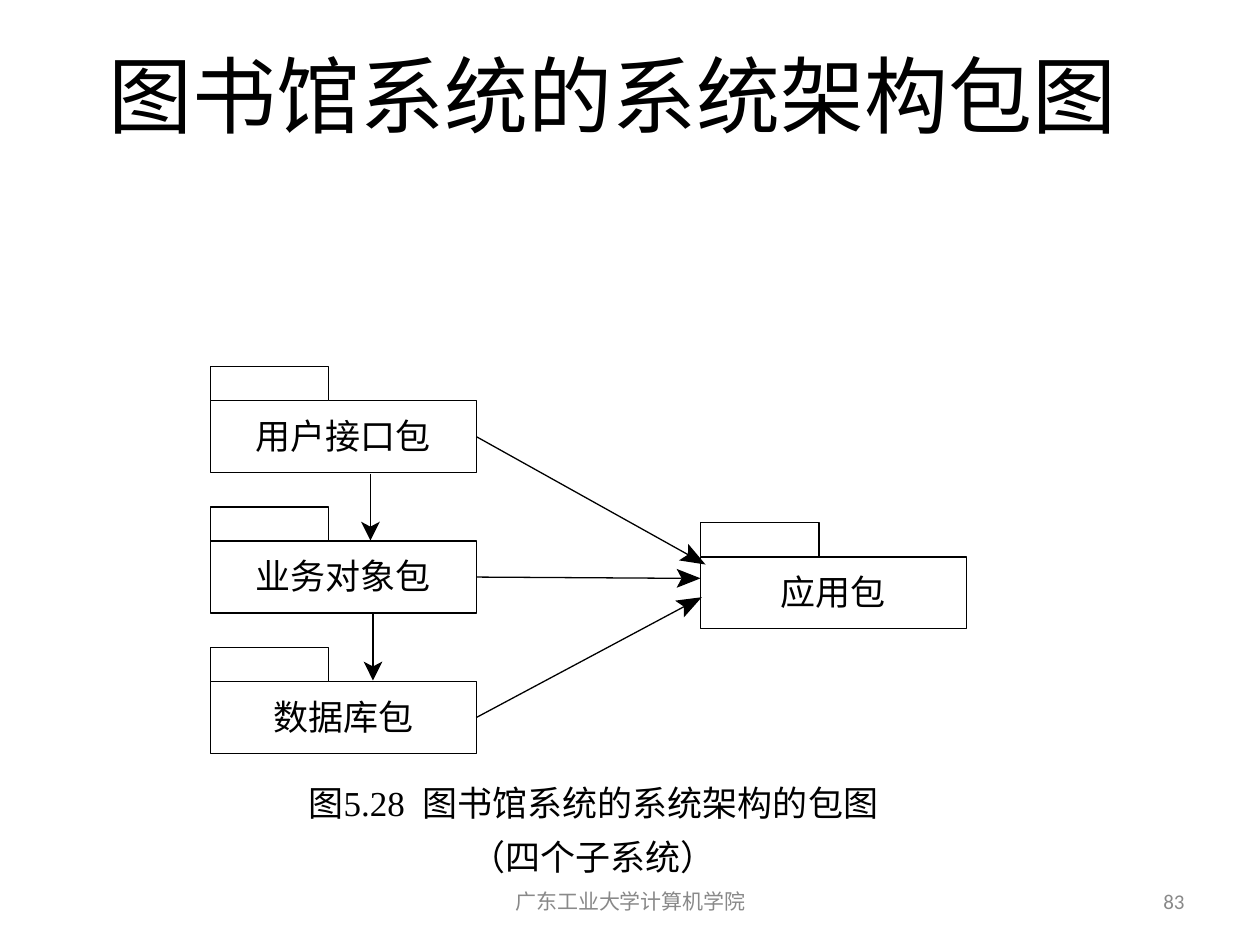
from dataclasses import dataclass
from math import hypot
from typing import Optional

from lxml.etree import SubElement
from pptx import Presentation
from pptx.dml.color import RGBColor
from pptx.enum.shapes import MSO_CONNECTOR as Conn, MSO_SHAPE as Shape
from pptx.enum.text import MSO_ANCHOR as Anchor, MSO_AUTO_SIZE as AutoSize, PP_ALIGN as Align
from pptx.oxml.ns import qn
from pptx.util import Inches, Pt

COLORS = {"ink": "000000", "paper": "FFFFFF", "footer": "898989"}
SERIF, SANS = "Times New Roman", "Calibri"
BODY_W, BODY_H = 2.11, 0.57
TAB_W, TAB_H = 0.94, 0.27
LEFT, TOP, STEP = 1.67, 3.18, 1.115
RIGHT_SIDE = 3


@dataclass
class Package:
    name: str
    x: float
    y: float


@dataclass
class Arrow:
    begin: tuple[float, float]
    tip: tuple[float, float]
    head: float
    source: Optional[str] = None


LAYERS = ["用户接口包", "业务对象包", "数据库包"]
PACKAGES = [Package(name, LEFT, TOP + i * STEP) for i, name in enumerate(LAYERS)]
PACKAGES.append(Package("应用包", 5.56, 4.42))

ARROWS = [
    Arrow((3.78, 3.46), (5.6, 4.48), 0.2, LAYERS[0]),
    Arrow((3.78, 4.59), (5.56, 4.59), 0.19, LAYERS[1]),
    Arrow((3.78, 5.69), (5.57, 4.74), 0.2, LAYERS[2]),
    Arrow((2.94, 3.76), (2.94, 4.29), 0.15),
    Arrow((2.96, 4.87), (2.96, 5.4), 0.15),
]


def rgb(name: str) -> RGBColor:
    return RGBColor.from_string(COLORS[name])


def write(sp, text: str, *, size: float = 20, font: str = SERIF, color: str = "ink",
          align=Align.CENTER, anchor=Anchor.TOP, spacing: float = 1.0,
          inset: float = 0.05) -> None:
    tf = sp.text_frame
    tf.word_wrap = True
    tf.auto_size = AutoSize.NONE
    tf.vertical_anchor = anchor
    tf.margin_left = tf.margin_right = Inches(0.1)
    tf.margin_top = tf.margin_bottom = Inches(inset)
    tf.text = text
    for p in tf.paragraphs:
        p.alignment = align
        p.line_spacing = spacing
        for r in p.runs:
            r.font.size = Pt(size)
            r.font.name = font
            r.font.color.rgb = rgb(color)


def add_text(s, x: float, y: float, w: float, h: float, text: str, **fmt) -> None:
    write(s.shapes.add_textbox(Inches(x), Inches(y), Inches(w), Inches(h)), text, **fmt)


def add_box(s, x: float, y: float, w: float, h: float):
    sp = s.shapes.add_shape(Shape.RECTANGLE, Inches(x), Inches(y), Inches(w), Inches(h))
    sp.shadow.inherit = False
    sp.fill.solid()
    sp.fill.fore_color.rgb = rgb("paper")
    sp.line.color.rgb = rgb("ink")
    sp.line.width = Pt(0.75)
    return sp


def add_package(s, package: Package):
    body = add_box(s, package.x, package.y, BODY_W, BODY_H)
    write(body, package.name, spacing=1.3, inset=0.01)
    add_box(s, package.x, package.y - TAB_H, TAB_W, TAB_H)
    return body


def add_arrow(s, arrow: Arrow, bodies: dict) -> None:
    (x1, y1), (x2, y2) = arrow.begin, arrow.tip
    length = hypot(x2 - x1, y2 - y1)
    ux, uy = (x2 - x1) / length, (y2 - y1) / length

    def behind_tip(back: float, side: float = 0) -> tuple[float, float]:
        return x2 - back * ux - side * uy, y2 - back * uy + side * ux

    notch = behind_tip(arrow.head - 0.04)
    line = s.shapes.add_connector(Conn.STRAIGHT, *map(Inches, (x1, y1, *notch)))
    line.line.color.rgb = rgb("ink")
    line.line.width = Pt(0.75)
    SubElement(line._element.spPr, qn("a:effectLst"))
    if arrow.source:
        line.begin_connect(bodies[arrow.source], RIGHT_SIDE)

    builder = s.shapes.build_freeform(Inches(x2), Inches(y2))
    wings = [behind_tip(arrow.head, 0.075), notch, behind_tip(arrow.head, -0.075)]
    builder.add_line_segments([(Inches(x), Inches(y)) for x, y in wings], close=True)
    head = builder.convert_to_shape()
    head.shadow.inherit = False
    head.fill.solid()
    head.fill.fore_color.rgb = rgb("ink")
    head.line.fill.background()


def main() -> None:
    prs = Presentation()
    prs.slide_width, prs.slide_height = Inches(10), Inches(7.5)
    s = prs.slides.add_slide(prs.slide_layouts[5])

    title = s.shapes.title
    title.left, title.top = Inches(0.35), Inches(0.28)
    title.width, title.height = Inches(9.03), Inches(0.93)
    write(title, "图书馆系统的系统架构包图", size=48, anchor=Anchor.MIDDLE)

    bodies = {package.name: add_package(s, package) for package in PACKAGES}
    for arrow in ARROWS:
        add_arrow(s, arrow, bodies)

    add_text(s, 1.76, 6.09, 5.9, 0.47,
             "图5.28  图书馆系统的系统架构的包图\n（四个子系统）", spacing=1.3, inset=0.01)
    footer = dict(size=12, font=SANS, color="footer", anchor=Anchor.MIDDLE)
    add_text(s, 3.42, 6.95, 3.17, 0.4, "广东工业大学计算机学院", **footer)
    add_text(s, 7.17, 6.95, 2.33, 0.4, "83", align=Align.RIGHT, **footer)
    prs.save("out.pptx")


if __name__ == "__main__":
    main()
